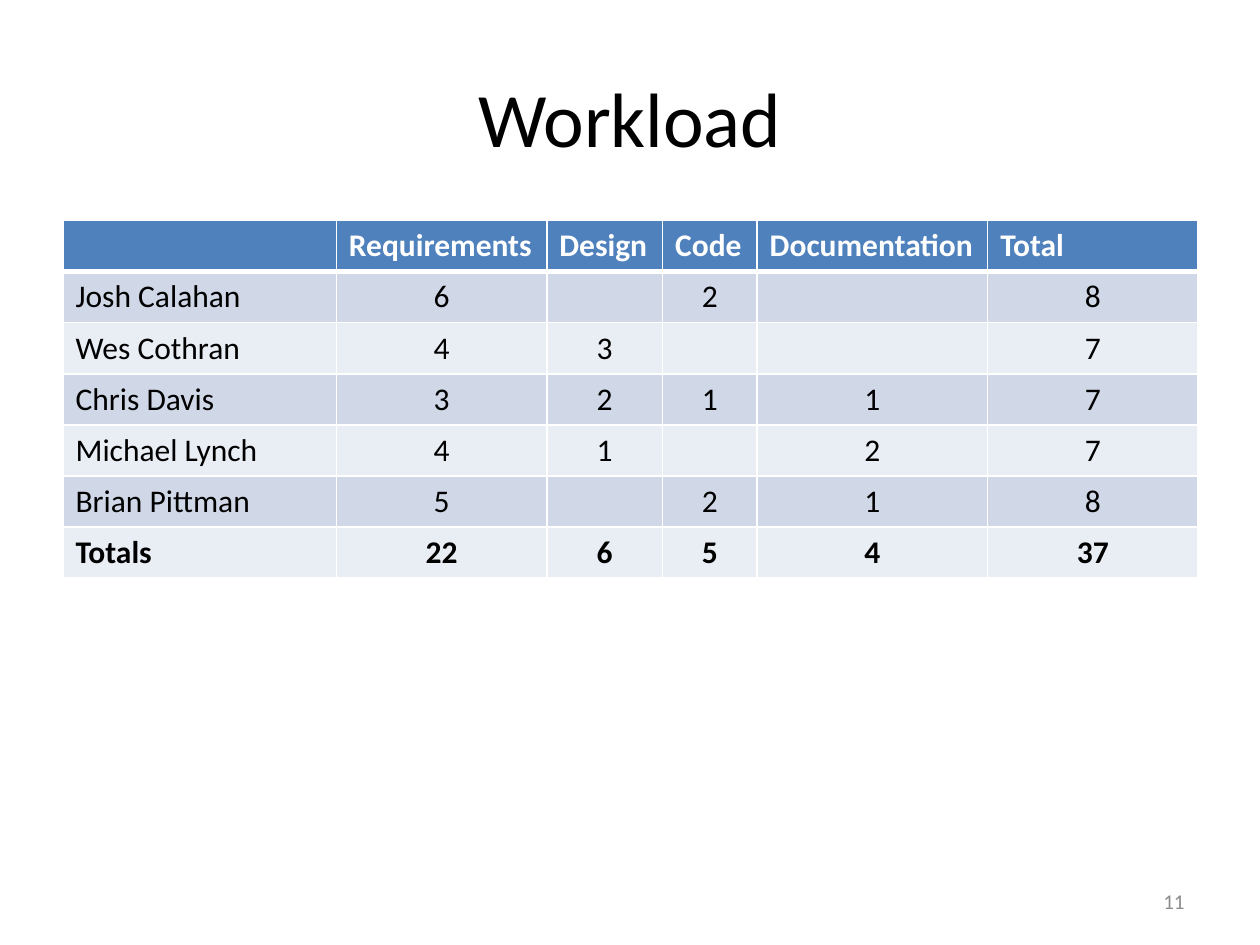
from dataclasses import dataclass

from lxml.etree import SubElement
from pptx import Presentation
from pptx.dml.color import RGBColor
from pptx.enum.text import MSO_ANCHOR as Anchor, PP_ALIGN as Align
from pptx.oxml.ns import qn
from pptx.util import Inches, Pt


@dataclass(frozen=True)
class Theme:
    font: str = "Calibri"
    text: str = "000000"
    muted: str = "8C8C8C"
    white: str = "FFFFFF"
    header: str = "4F81BD"
    bands: tuple = ("D0D8E8", "E9EDF4")
    title_size: int = 44
    body_size: int = 18
    number_size: int = 12
    thin_line: int = 1
    thick_line: int = 3


THEME = Theme()

COLUMN_WIDTHS = [2.17, 1.67, 0.92, 0.75, 1.83, 1.67]
HEADINGS = ["", "Requirements", "Design", "Code", "Documentation", "Total"]
WORKLOAD = [
    ["Josh Calahan", 6, "", 2, "", 8],
    ["Wes Cothran", 4, 3, "", "", 7],
    ["Chris Davis", 3, 2, 1, 1, 7],
    ["Michael Lynch", 4, 1, "", 2, 7],
    ["Brian Pittman", 5, "", 2, 1, 8],
    ["Totals", 22, 6, 5, 4, 37],
]


def write(paragraph, text, size, color, align=Align.LEFT, bold=False):
    paragraph.text = str(text)
    paragraph.alignment = align
    paragraph.font.name = THEME.font
    paragraph.font.size = Pt(size)
    paragraph.font.bold = bold
    paragraph.font.color.rgb = RGBColor.from_string(color)


def add_text(slide, box, text, size, color, align):
    shape = slide.shapes.add_textbox(*map(Inches, box))
    frame = shape.text_frame
    frame.word_wrap = True
    frame.vertical_anchor = Anchor.MIDDLE
    write(frame.paragraphs[0], text, size, color, align)


def set_borders(cell, top, bottom):
    """Draw white cell borders; top and bottom widths are in points."""
    properties = cell._tc.get_or_add_tcPr()
    widths = {"L": THEME.thin_line, "R": THEME.thin_line, "T": top, "B": bottom}
    for side, width in widths.items():
        line = SubElement(properties, qn(f"a:ln{side}"), w=str(Pt(width)))
        fill = SubElement(line, qn("a:solidFill"))
        SubElement(fill, qn("a:srgbClr"), val=THEME.white)


def add_workload_table(slide, box):
    rows = [HEADINGS] + WORKLOAD
    left, top, width, height = map(Inches, box)
    table = slide.shapes.add_table(
        len(rows), len(HEADINGS), left, top, width, height).table
    table.first_row = table.horz_banding = False
    for column, column_width in zip(table.columns, COLUMN_WIDTHS):
        column.width = Inches(column_width)

    for r, values in enumerate(rows):
        is_header, is_total = r == 0, r == len(rows) - 1
        fill = THEME.header if is_header else THEME.bands[(r - 1) % 2]
        for c, value in enumerate(values):
            cell = table.cell(r, c)
            set_borders(cell,
                        THEME.thick_line if r == 1 else THEME.thin_line,
                        THEME.thick_line if is_header else THEME.thin_line)
            cell.fill.solid()
            cell.fill.fore_color.rgb = RGBColor.from_string(fill)
            if value != "":
                write(cell.text_frame.paragraphs[0], value, THEME.body_size,
                      THEME.white if is_header else THEME.text,
                      Align.LEFT if is_header or c == 0 else Align.CENTER,
                      is_header or is_total)


def build_workload_slide(presentation):
    slide = presentation.slides.add_slide(presentation.slide_layouts[6])
    # Title
    add_text(slide, (0.5, 0.3, 9, 1.25), "Workload",
             THEME.title_size, THEME.text, Align.CENTER)
    # Workload table
    add_workload_table(slide, (0.5, 1.75, 9, 2.84))
    # Slide number
    add_text(slide, (7.17, 6.95, 2.33, 0.4), "11",
             THEME.number_size, THEME.muted, Align.RIGHT)


presentation = Presentation()
presentation.slide_width = Inches(10)
presentation.slide_height = Inches(7.5)
build_workload_slide(presentation)
presentation.save("out.pptx")
